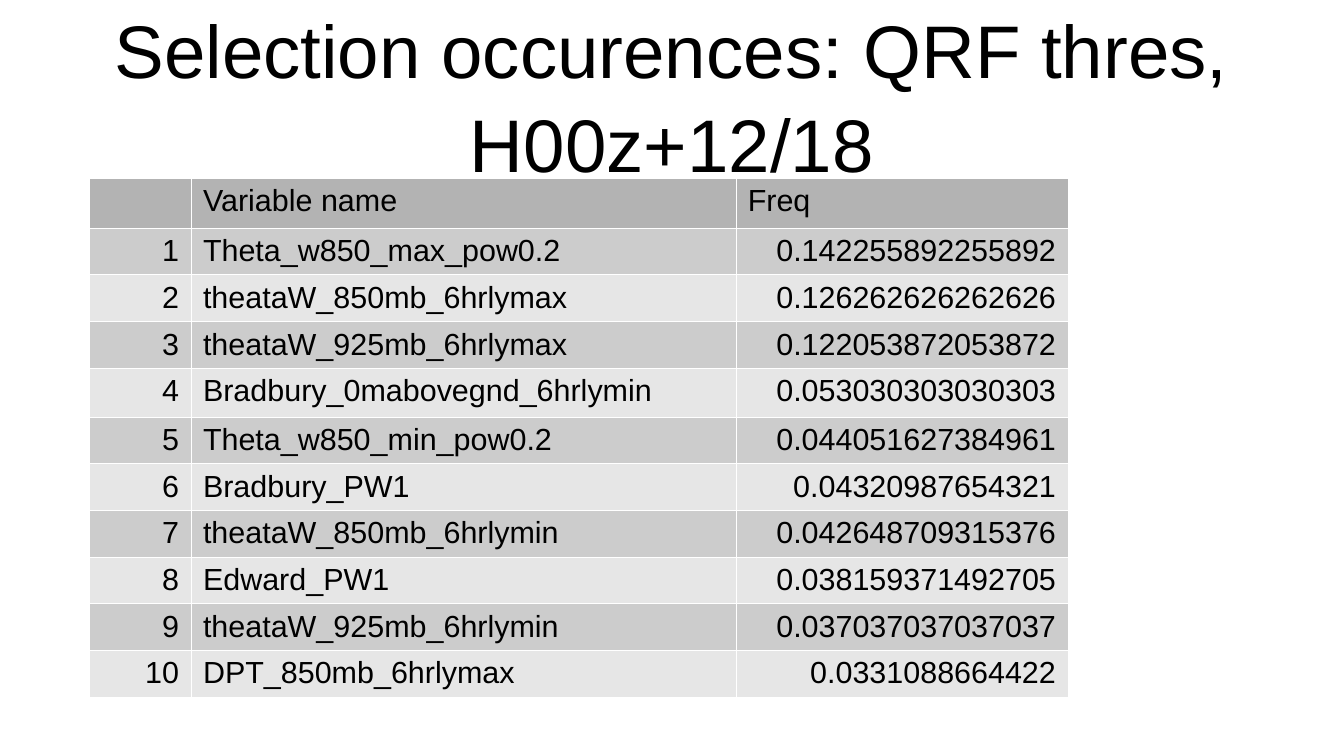
from dataclasses import dataclass

from pptx import Presentation
from pptx.dml.color import RGBColor as RGB
from pptx.enum.text import MSO_ANCHOR as Anchor, MSO_AUTO_SIZE as AutoSize, PP_ALIGN as Align
from pptx.oxml import parse_xml
from pptx.oxml.ns import nsdecls
from pptx.util import Cm, Pt


@dataclass(frozen=True)
class Theme:
    font: str = "Arial"
    title_size: int = 44
    body_size: int = 18
    text: str = "000000"
    header: str = "B3B3B3"
    bands: tuple = ("CCCCCC", "E6E6E6")
    border: str = "FFFFFF"
    border_width: float = 0.06


THEME = Theme()
TITLE = "Selection occurences: QRF thres, H00z+12/18"
HEADINGS = ("", "Variable name", "Freq")
FREQUENCIES = (
    ("Theta_w850_max_pow0.2", "0.142255892255892"),
    ("theataW_850mb_6hrlymax", "0.126262626262626"),
    ("theataW_925mb_6hrlymax", "0.122053872053872"),
    ("Bradbury_0mabovegnd_6hrlymin", "0.053030303030303"),
    ("Theta_w850_min_pow0.2", "0.044051627384961"),
    ("Bradbury_PW1", "0.04320987654321"),
    ("theataW_850mb_6hrlymin", "0.042648709315376"),
    ("Edward_PW1", "0.038159371492705"),
    ("theataW_925mb_6hrlymin", "0.037037037037037"),
    ("DPT_850mb_6hrlymax", "0.0331088664422"),
)
COLUMN_SHARES = (2.13, 11.35, 6.92)
ROW_SHARES = [1.05 if i == 4 else 1 for i in range(len(FREQUENCIES) + 1)]


def set_attrs(obj, values):
    for name, value in values.items():
        setattr(obj, name, value)


def write(p, text, size, align):
    p.alignment = align
    if text:
        r = p.add_run()
        r.text = text
        set_attrs(r.font, {"name": THEME.font, "size": Pt(size)})
        r.font.color.rgb = RGB.from_string(THEME.text)


def add_borders(cell):
    tc_pr = cell._tc.get_or_add_tcPr()
    for i, side in enumerate(("lnL", "lnR", "lnT", "lnB")):
        tc_pr.insert(i, parse_xml(
            f'<a:{side} {nsdecls("a")} w="{Pt(THEME.border_width)}"><a:solidFill>'
            f'<a:srgbClr val="{THEME.border}"/></a:solidFill></a:{side}>'))


def fill_cell(cell, text, fill, align):
    set_attrs(cell, {"margin_left": Cm(0.25), "margin_right": Cm(0.25),
                     "margin_top": Cm(0.13), "margin_bottom": Cm(0.13)})
    cell.fill.solid()
    cell.fill.fore_color.rgb = RGB.from_string(fill)
    add_borders(cell)
    write(cell.text_frame.paragraphs[0], text, THEME.body_size, align)


def add_title(s, left, top, width, height):
    sp = s.shapes.title
    set_attrs(sp, {"left": Cm(left), "top": Cm(top), "width": Cm(width), "height": Cm(height)})
    tf = sp.text_frame
    set_attrs(tf, {"word_wrap": True, "auto_size": AutoSize.NONE,
                   "vertical_anchor": Anchor.MIDDLE, "margin_left": 0, "margin_right": 0,
                   "margin_top": 0, "margin_bottom": 0})
    p = tf.paragraphs[0]
    p.line_spacing = 1.05
    write(p, TITLE, THEME.title_size, Align.CENTER)


def add_frequency_table(s, left, top, width, height):
    rows = [HEADINGS] + [(str(i), *row) for i, row in enumerate(FREQUENCIES, 1)]
    table = s.shapes.add_table(len(rows), len(HEADINGS), Cm(left), Cm(top),
                               Cm(width), Cm(height)).table
    # Column widths and row heights share out the box
    for column, share in zip(table.columns, COLUMN_SHARES):
        column.width = Cm(width * share / sum(COLUMN_SHARES))
    for row, share in zip(table.rows, ROW_SHARES):
        row.height = Cm(height * share / sum(ROW_SHARES))
    # Numbers align right, names and headings left
    for i, row in enumerate(rows):
        fill = THEME.bands[(i - 1) % 2] if i else THEME.header
        for j, text in enumerate(row):
            align = Align.RIGHT if i and j != 1 else Align.LEFT
            fill_cell(table.cell(i, j), text, fill, align)


def main():
    prs = Presentation()
    set_attrs(prs, {"slide_width": Cm(28), "slide_height": Cm(15.75)})
    s = prs.slides.add_slide(prs.slide_layouts.get_by_name("Title Only"))
    add_title(s, 1.4, 0.2, 25.2, 3.48)
    add_frequency_table(s, 1.85, 3.71, 20.4, 10.74)
    prs.save("out.pptx")


if __name__ == "__main__":
    main()
